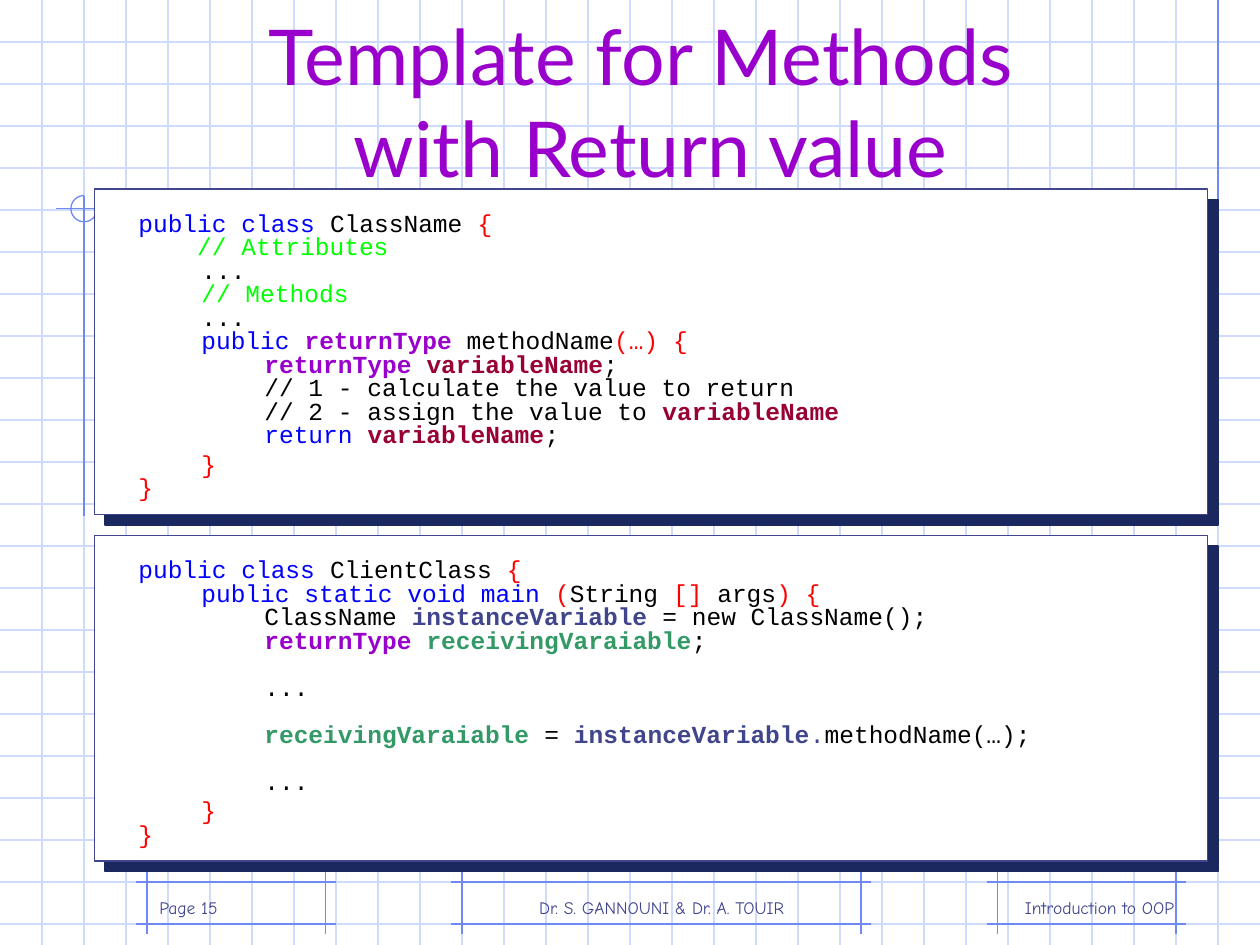
from lxml import etree
from pptx import Presentation
from pptx.dml.color import RGBColor
from pptx.enum.shapes import MSO_CONNECTOR, MSO_SHAPE
from pptx.enum.text import MSO_ANCHOR, PP_ALIGN
from pptx.oxml.ns import qn
from pptx.util import Pt

LINE = MSO_CONNECTOR.STRAIGHT
RECT, ARC = MSO_SHAPE.RECTANGLE, MSO_SHAPE.ARC
TOP, BOTTOM = MSO_ANCHOR.TOP, MSO_ANCHOR.BOTTOM
LEFT, CENTER, RIGHT = PP_ALIGN.LEFT, PP_ALIGN.CENTER, PP_ALIGN.RIGHT

PALE = RGBColor(0xCF, 0xDB, 0xFD)
RULE = RGBColor(0x6F, 0x89, 0xF7)
WHITE = RGBColor(0xFF, 0xFF, 0xFF)
BLACK = RGBColor(0x00, 0x00, 0x00)
NAVY = RGBColor(0x1B, 0x28, 0x5F)
SLATE = RGBColor(0x40, 0x45, 0x8C)
PURPLE = RGBColor(0x99, 0x00, 0xCC)
BLUE = RGBColor(0x00, 0x00, 0xFF)
RED = RGBColor(0xFF, 0x00, 0x00)
LIME = RGBColor(0x00, 0xFF, 0x00)
WINE = RGBColor(0x99, 0x00, 0x33)
GREEN = RGBColor(0x33, 0x99, 0x66)

PX = 9525
WIDE, HIGH = 960, 720
CELL = 32
STEP = 48
OVER = 8

TYPE = ("returnType", PURPLE, True)
VAR = ("variableName", WINE, True)
OBJ = ("instanceVariable", SLATE, True)
GETS = ("receivingVaraiable", GREEN, True)
END = (";", BLACK, False)
OPEN = ("{", RED, False)
CLOSE = ("}", RED, False)
SPACE = (" ", BLACK, False)
DOTS = ("...", BLACK, False)

METHOD = [
    (0, 0, [("public class", BLUE, False), (" ClassName ", BLACK, False), OPEN]),
    (0, 0, [("    // Attributes", LIME, False)]),
    (1, 0, [DOTS]),
    (1, 0, [("// Methods", LIME, False)]),
    (1, 0, [DOTS]),
    (1, 0, [("public ", BLUE, False), TYPE, (" methodName", BLACK, False),
            ("(…) {", RED, False)]),
    (2, 0, [TYPE, SPACE, VAR, END]),
    (2, 0, [("// 1 - calculate the value to return", BLACK, False)]),
    (2, 0, [("// 2 - assign the value to ", BLACK, False), VAR]),
    (2, 0, [("return ", BLUE, False), VAR, END]),
    (1, 0, [CLOSE]),
    (0, 0, [CLOSE]),
]
CLIENT = [
    (0, 0, [("public class", BLUE, False), (" ClientClass ", BLACK, False), OPEN]),
    (1, 0, [("public static void main ", BLUE, False), ("(", RED, False),
            ("String ", BLACK, False), ("[]", RED, False),
            (" args", BLACK, False), (") {", RED, False)]),
    (2, 0, [("ClassName ", BLACK, False), OBJ, (" = new ClassName();", BLACK, False)]),
    (2, 0, [TYPE, SPACE, GETS, END]),
    (2, 1, [DOTS]),
    (2, 1, [GETS, (" = ", BLACK, False), OBJ, (".", SLATE, False),
            ("methodName(…);", BLACK, False)]),
    (2, 1, [DOTS]),
    (1, 0, [CLOSE]),
    (0, 0, [CLOSE]),
]


def scale(*nums):
    return [num * PX for num in nums]


def rule(slide, ends, color):
    line = slide.shapes.add_connector(LINE, *scale(*ends))
    line.line.color.rgb = color
    line.line.width = Pt(0.75)
    etree.SubElement(line._element.spPr, qn("a:effectLst"))


def frame(slide, box, anchor):
    text = slide.shapes.add_textbox(*scale(*box)).text_frame
    text.word_wrap = True
    text.vertical_anchor = anchor
    return text


def write(para, text, face, size, color, bold=False):
    run = para.add_run()
    run.text = text
    font = run.font
    font.name, font.size, font.bold = face, Pt(size), bold
    font.color.rgb = color


def grid(slide, box):
    x, y, w, h = box
    for down in range(CELL, h, CELL):
        rule(slide, (x, y + down, x + w, y + down), PALE)
    for right in range(CELL, w, CELL):
        rule(slide, (x + right, y, x + right, y + h), PALE)


def marks(slide, box):
    x, y, w, h = box
    rule(slide, (x + w - CELL, y, x + w - CELL, y + 248), RULE)
    rule(slide, (x + 230, y + 159, x + 43, y + 159), RULE)
    rule(slide, (x + 64, y + 149, x + 64, y + 393), RULE)
    arc = slide.shapes.add_shape(ARC, *scale(x + 54, y + 149, 20, 20))
    arc.adjustments[0], arc.adjustments[1] = 0, 162
    arc.shadow.inherit = False
    arc.fill.background()
    arc.line.color.rgb = RULE
    arc.line.width = Pt(0.75)


def foot(slide, box, area, align, text):
    x, y, w, h = box
    for level in (y, y + h):
        rule(slide, (x - OVER, level, x + w + OVER, level), RULE)
    for side in (x, x + w):
        rule(slide, (side, y - OVER, side, y + h + OVER), RULE)
    left, width = area
    para = frame(slide, (x + left, y - 16, width, h + 16), BOTTOM).paragraphs[0]
    para.alignment = align
    write(para, text, "Comic Neue", 10, SLATE)


def title(slide, box):
    para = frame(slide, box, BOTTOM).paragraphs[0]
    para.alignment = CENTER
    write(para, "Template for Methods ", "Lato", 44, PURPLE)
    para.add_line_break()
    write(para, "with Return value", "Lato", 44, PURPLE)


def shade(shape):
    shape.shadow.inherit = False
    effect = shape._element.spPr.find(qn("a:effectLst"))
    drop = etree.SubElement(effect, qn("a:outerShdw"), blurRad="0",
                            dist=str(Pt(8.5)), dir="2700000",
                            algn="ctr", rotWithShape="0")
    etree.SubElement(drop, qn("a:srgbClr"), val=str(NAVY))


def code(slide, box, lines):
    x, y, w, h = box
    card = slide.shapes.add_shape(RECT, *scale(*box))
    card.fill.solid()
    card.fill.fore_color.rgb = WHITE
    card.line.color.rgb = SLATE
    card.line.width = Pt(0.75)
    shade(card)
    text = frame(slide, (x + 24, y + 14, w - 32, h), TOP)
    for row, (level, gap, runs) in enumerate(lines):
        para = text.add_paragraph() if row else text.paragraphs[0]
        props = para._p.get_or_add_pPr()
        props.set("marL", str(level * STEP * PX))
        props.set("indent", "0")
        para.alignment = LEFT
        para.line_spacing = 1.0 if row == len(lines) - 2 else 0.8
        if gap:
            para.space_before = Pt(13.4)
        for part, color, bold in runs:
            write(para, part, "Courier New", 14, color, bold)


def main():
    deck = Presentation()
    deck.slide_width, deck.slide_height = scale(WIDE, HIGH)
    slide = deck.slides.add_slide(deck.slide_layouts[6])
    page = (0, 0, WIDE, HIGH)
    grid(slide, page)
    marks(slide, page)
    foot(slide, (352, 672, 304, 32), (0, 304), CENTER,
         "Dr. S. GANNOUNI & Dr. A. TOUIR")
    foot(slide, (760, 672, 136, 32), (-56, 200), RIGHT, "Introduction to OOP")
    foot(slide, (112, 672, 136, 32), (0, 200), LEFT, "Page 15")
    title(slide, (32, 32, 928, 120))
    for top, lines in ((144, METHOD), (408, CLIENT)):
        code(slide, (72, top, 848, 248), lines)
    deck.save("out.pptx")


if __name__ == "__main__":
    main()
